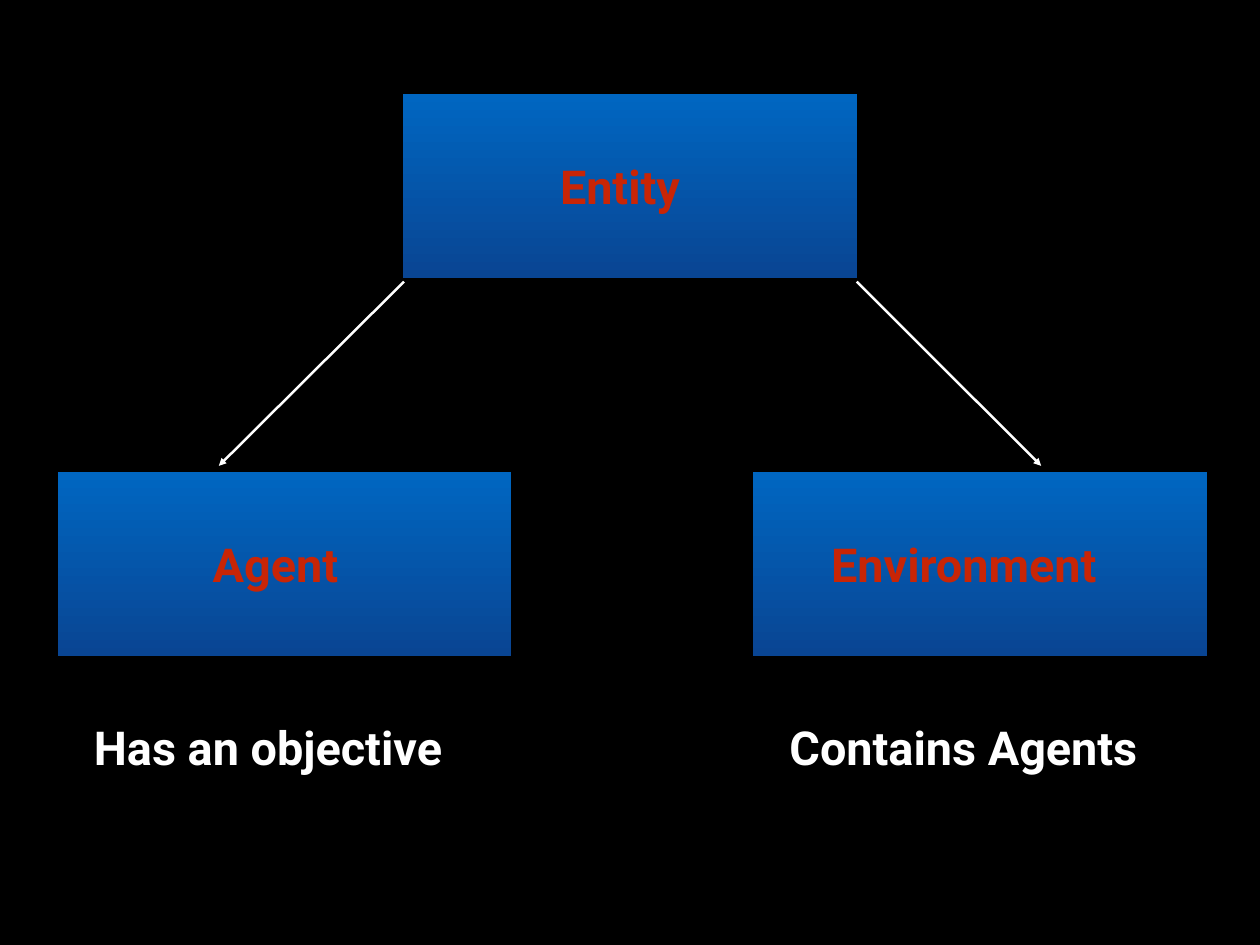
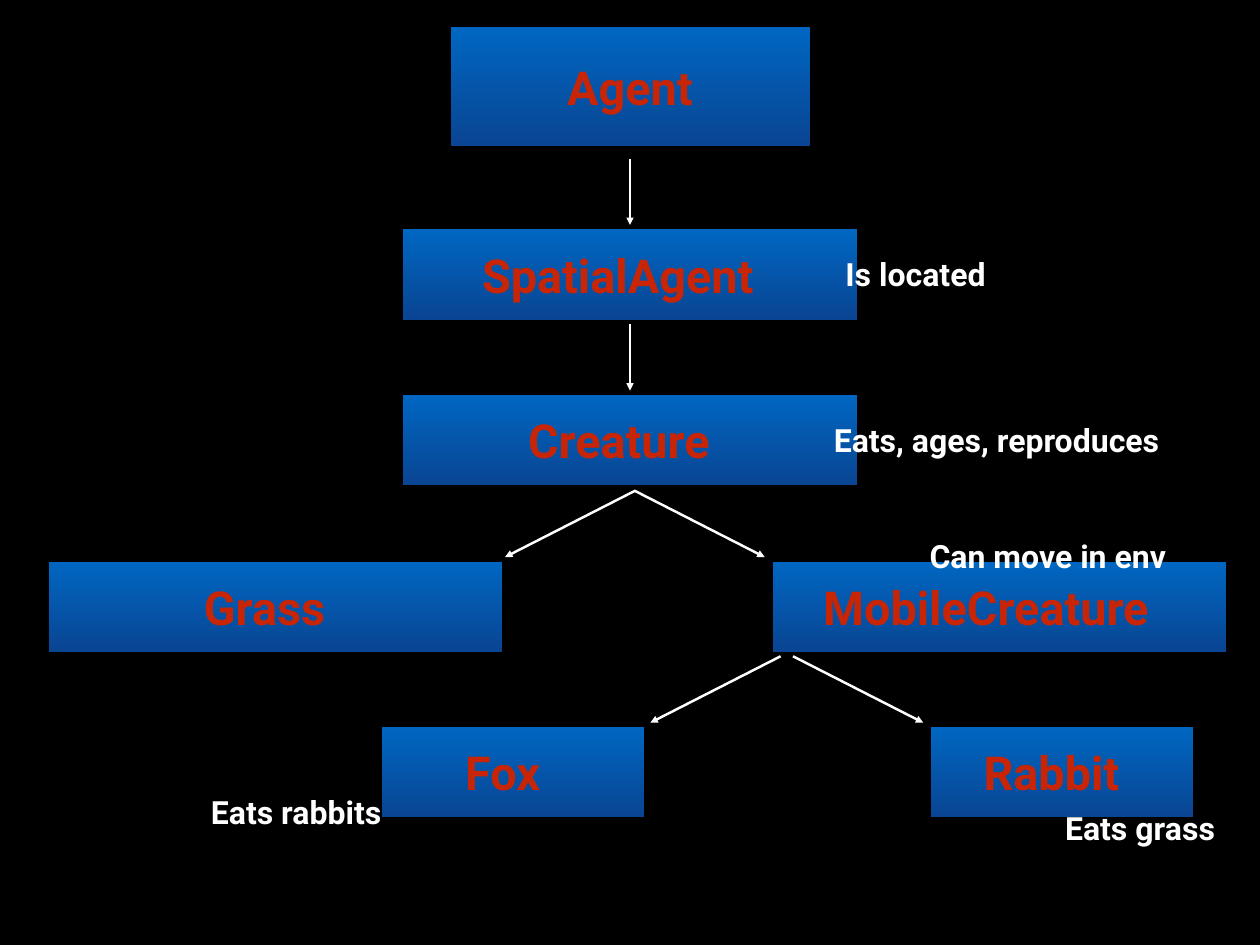
from dataclasses import dataclass

from lxml import etree
from pptx import Presentation
from pptx.dml.color import RGBColor
from pptx.enum.shapes import MSO_CONNECTOR, MSO_SHAPE
from pptx.enum.text import MSO_ANCHOR, PP_ALIGN
from pptx.oxml.ns import qn
from pptx.util import Inches, Pt

RECTANGLE = MSO_SHAPE.RECTANGLE
STRAIGHT = MSO_CONNECTOR.STRAIGHT
MIDDLE = MSO_ANCHOR.MIDDLE
LEFT, CENTER = PP_ALIGN.LEFT, PP_ALIGN.CENTER


@dataclass(frozen=True)
class Theme:
    background: str = "000000"
    box_top: str = "0066C1"
    box_bottom: str = "094593"
    label: str = "C82506"
    light: str = "FFFFFF"
    font: str = "Roboto"
    large: int = 38
    small: int = 26
    line_width: int = 2


THEME = Theme()
SLIDE_WIDTH, SLIDE_HEIGHT = 14.22, 10.67
WIDE_BOX, NARROW_BOX = 5.12, 2.96
LARGE_LINE, SMALL_LINE = 0.75, 0.54

# Rows of the class tree on the second slide
FIRST_ROW, ROW_PITCH, ROW_HEIGHT = 2.59, 1.873, 1.02
ARROW_START, ARROW_END = -0.8, -0.05


def row_top(row):
    return round(FIRST_ROW + row * ROW_PITCH, 2)


def add_text(shapes, text, left, top, width, height, *, size=THEME.large,
             color=THEME.light, align=LEFT):
    box = shapes.add_textbox(Inches(left), Inches(top), Inches(width), Inches(height))
    frame = box.text_frame
    frame.word_wrap = True
    frame.vertical_anchor = MIDDLE
    frame.margin_left = frame.margin_right = 0
    frame.margin_top = frame.margin_bottom = 0
    para = frame.paragraphs[0]
    para.alignment = align
    span = para.add_run()
    span.text = text
    span.font.name = THEME.font
    span.font.size = Pt(size)
    span.font.bold = True
    span.font.color.rgb = RGBColor.from_string(color)


def add_class_box(page, name, left, top, width, height, label_left, label_width,
                  align=LEFT):
    """Group a gradient box with its vertically centred label."""
    shapes = page.shapes.add_group_shape().shapes
    box = shapes.add_shape(RECTANGLE, Inches(left), Inches(top),
                           Inches(width), Inches(height))
    box.shadow.inherit = False
    box.line.fill.background()
    box.fill.gradient()
    box.fill.gradient_angle = 270
    for stop, color in zip(box.fill.gradient_stops, (THEME.box_top, THEME.box_bottom)):
        stop.color.rgb = RGBColor.from_string(color)
    label_top = top + (height - LARGE_LINE) / 2
    add_text(shapes, name, label_left, label_top, label_width, LARGE_LINE,
             color=THEME.label, align=align)


def add_arrow(page, start_x, start_y, end_x, end_y):
    arrow = page.shapes.add_connector(STRAIGHT, Inches(start_x), Inches(start_y),
                                      Inches(end_x), Inches(end_y))
    arrow.line.color.rgb = RGBColor.from_string(THEME.light)
    arrow.line.width = Pt(THEME.line_width)
    etree.SubElement(arrow.line._get_or_add_ln(), qn("a:tailEnd"), type="triangle")
    etree.SubElement(arrow._element.spPr, qn("a:effectLst"))


def add_page(deck):
    return deck.slides.add_slide(deck.slide_layouts[6])


def build_entity_slide(deck):
    page = add_page(deck)

    # Arrows from the parent's lower corners
    add_arrow(page, 4.56, 3.18, 2.47, 5.26)
    add_arrow(page, 9.67, 3.18, 11.75, 5.26)

    # Boxes: name, left, top, label left, label width
    for name, left, top, label_left, label_width in (
        ("Entity", 4.55, 1.06, 6.32, 1.59),
        ("Agent", 0.65, 5.33, 2.4, 1.62),
        ("Environment", 8.5, 5.33, 9.38, 3.35),
    ):
        add_class_box(page, name, left, top, WIDE_BOX, 2.08, label_left, label_width)

    # Captions
    for text, left in (("Has an objective", 1.06), ("Contains Agents", 8.91)):
        add_text(page.shapes, text, left, 8.06, 4.3, LARGE_LINE)


def build_agent_slide(deck):
    page = add_page(deck)

    # Arrows: row they lead to, start x, end x
    for row, start_x, end_x in (
        (0, 7.11, 7.11),
        (1, 7.11, 7.11),
        (2, 7.17, 5.7),
        (2, 7.16, 8.63),
        (3, 8.81, 7.34),
        (3, 8.95, 10.42),
    ):
        top = row_top(row)
        add_arrow(page, start_x, top + ARROW_START, end_x, top + ARROW_END)

    # Root class
    add_class_box(page, "Agent", 5.09, 0.31, 4.05, 1.34, 6.29, 1.64, align=CENTER)

    # Subclasses: name, row, left, width, label left, label width
    for name, row, left, width, label_left, label_width in (
        ("SpatialAgent", 0, 4.55, WIDE_BOX, 5.44, 3.35),
        ("Creature", 1, 4.55, WIDE_BOX, 5.96, 2.3),
        ("Grass", 2, 0.55, WIDE_BOX, 2.3, 1.62),
        ("MobileCreature", 2, 8.72, WIDE_BOX, 9.29, 3.97),
        ("Fox", 3, 4.31, NARROW_BOX, 5.25, 1.06),
        ("Rabbit", 3, 10.51, NARROW_BOX, 11.1, 1.77),
    ):
        add_class_box(page, name, left, row_top(row), width, ROW_HEIGHT,
                      label_left, label_width)

    # Behaviours beside the boxes
    for text, left, top, width in (
        ("Is located", 9.54, 2.82, 1.79),
        ("Eats, ages, reproduces", 9.41, 4.7, 4.08),
        ("Can move in env", 10.49, 6.01, 2.99),
        ("Eats rabbits", 2.38, 8.9, 2.19),
        ("Eats grass", 12.02, 9.08, 1.95),
    ):
        add_text(page.shapes, text, left, top, width, SMALL_LINE, size=THEME.small)


def main():
    deck = Presentation()
    deck.slide_width = Inches(SLIDE_WIDTH)
    deck.slide_height = Inches(SLIDE_HEIGHT)

    # Shared background
    fill = deck.slide_master.background.fill
    fill.solid()
    fill.fore_color.rgb = RGBColor.from_string(THEME.background)

    build_entity_slide(deck)
    build_agent_slide(deck)
    deck.save("out.pptx")


if __name__ == "__main__":
    main()
